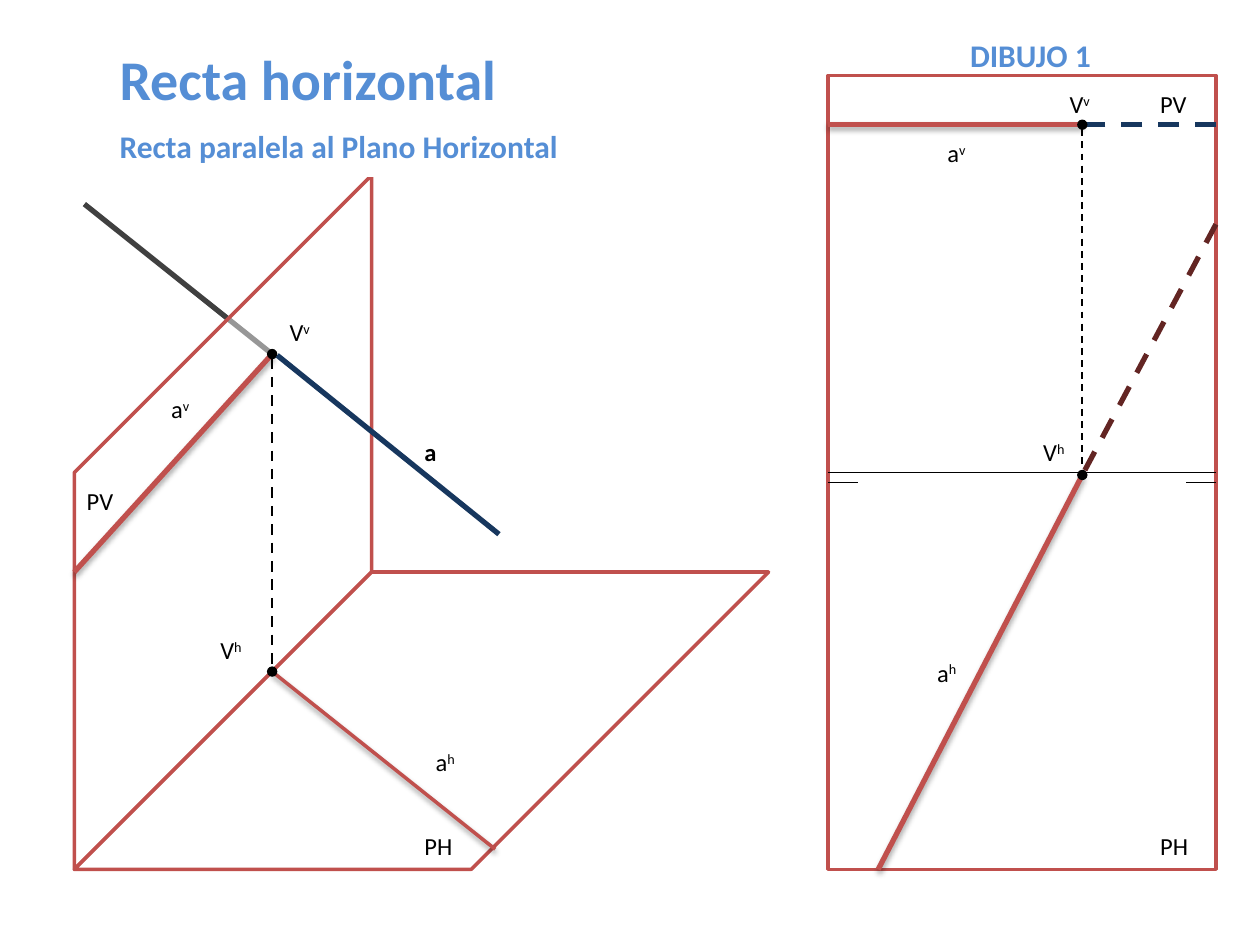
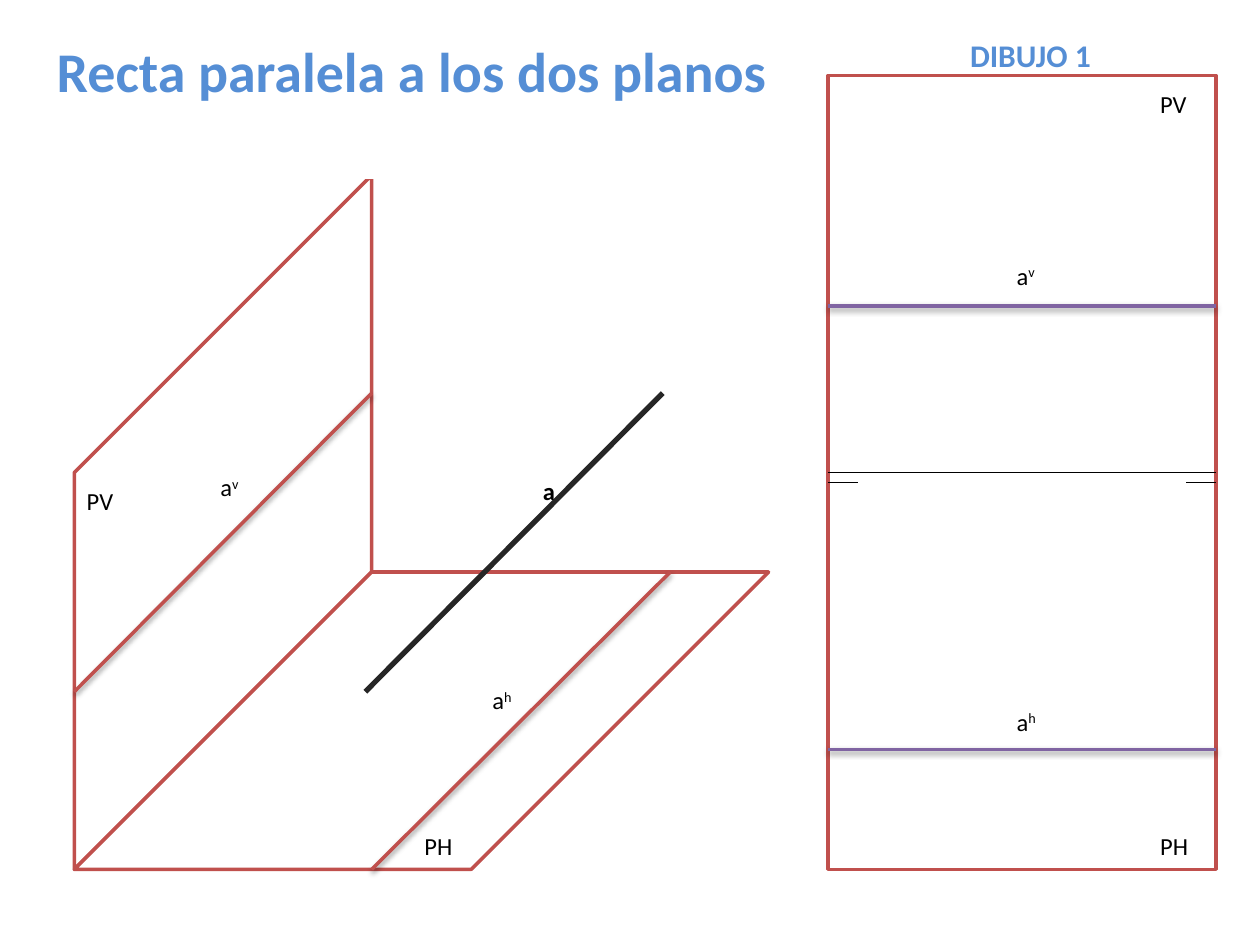
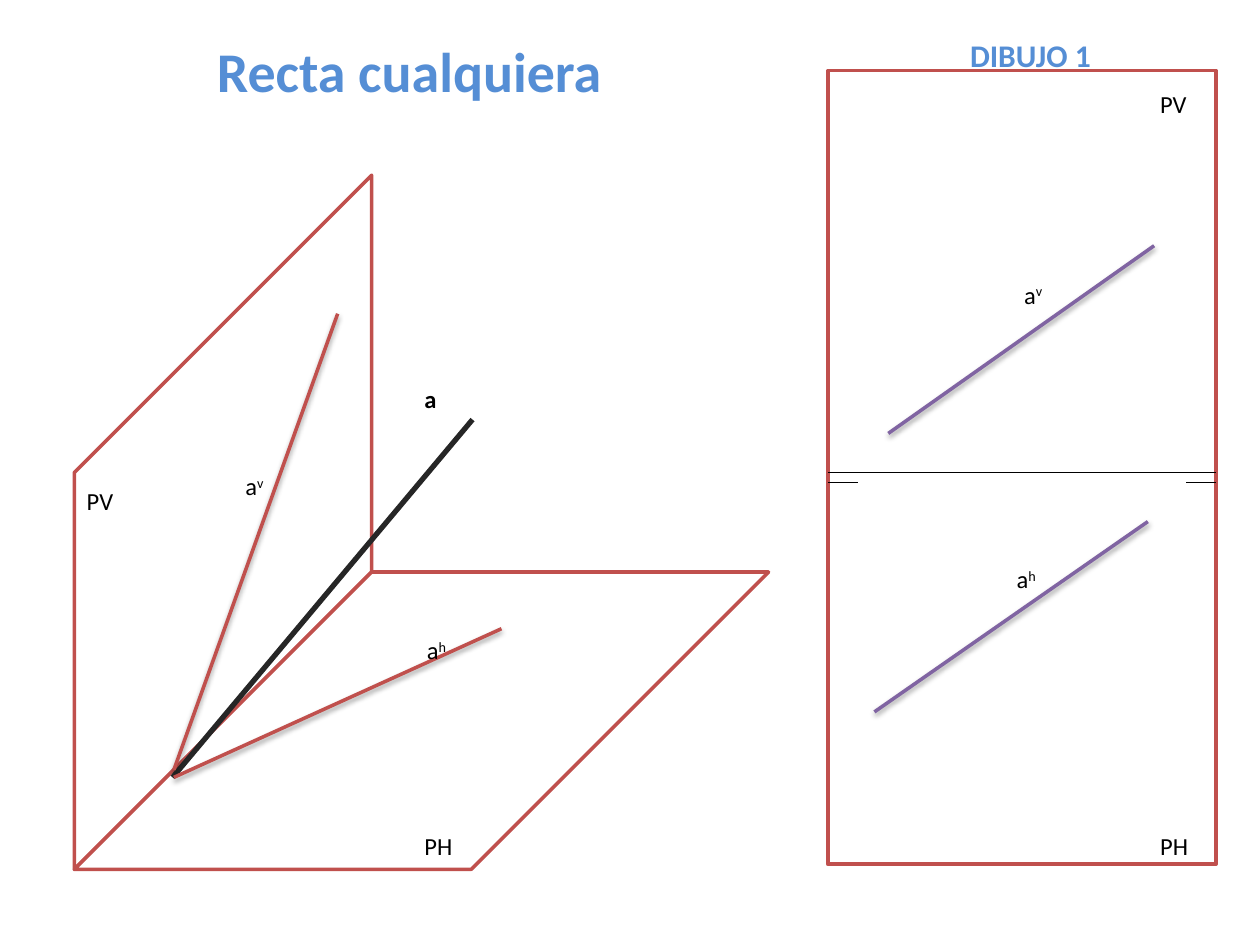
from dataclasses import dataclass

from lxml.etree import SubElement
from pptx import Presentation
from pptx.dml.color import RGBColor
from pptx.enum.dml import MSO_LINE
from pptx.enum.shapes import MSO_CONNECTOR, MSO_SHAPE
from pptx.enum.text import MSO_ANCHOR, MSO_AUTO_SIZE, PP_ALIGN
from pptx.oxml.ns import qn
from pptx.util import Inches, Pt

Point = tuple[float, float]


@dataclass(frozen=True)
class Theme:
    font: str = "Calibri"
    title: str = "558ED5"
    plane: str = "C0504D"
    trace: str = "8064A2"
    hidden_trace: str = "632523"
    navy: str = "17375E"
    line: str = "262626"
    hidden_line: str = "404040"
    black: str = "000000"
    white: str = "FFFFFF"
    title_size: int = 32
    subtitle_size: int = 18
    label_size: int = 14
    thin: float = 0.75
    medium: float = 2
    thick: float = 3


@dataclass(frozen=True)
class Stroke:
    start: Point
    end: Point
    color: str
    width: float = 3
    dashed: bool = False
    dots: bool = False
    shadow: bool = False


@dataclass(frozen=True)
class Label:
    left: float
    top: float
    text: str
    sup: str = ""
    bold: bool = False
    size: int = 14
    color: str = "000000"
    width: float = 0.36
    height: float = 0.34


@dataclass(frozen=True)
class Title:
    box: tuple[float, float, float, float]
    lines: tuple[str, ...]
    align: PP_ALIGN = PP_ALIGN.CENTER
    outlined: bool = True


@dataclass(frozen=True)
class Drawing:
    title: Title
    strokes: list[Stroke]
    labels: list[Label]
    behind: tuple[Stroke, ...] = ()
    panel_top: float = 0.6
    opacity: tuple[int, int] = (100, 100)


T = Theme()

# Corners of the two planes in perspective and edges of the flat drawing
LEFT, BACK, FRONT, FAR = 0.59, 2.95, 3.74, 6.1
APEX, GROUND, HORIZON, BASE = 1.39, 3.75, 4.54, 6.9
PANEL_LEFT, PANEL_RIGHT, PANEL_HEIGHT = 6.57, 9.65, 6.3
TICK, TICK_Y = 0.24, 3.83

VERTICAL_PLANE = [(LEFT, BASE), (LEFT, GROUND), (BACK, APEX), (BACK, HORIZON)]
HORIZONTAL_PLANE = [(BACK, HORIZON), (FAR, HORIZON), (FRONT, BASE), (LEFT, BASE)]

GROUND_LINES = [
    Stroke((PANEL_LEFT, GROUND), (PANEL_RIGHT, GROUND), T.black, T.thin),
    Stroke((PANEL_LEFT, TICK_Y), (PANEL_LEFT + TICK, TICK_Y), T.black, T.thin),
    Stroke((PANEL_RIGHT, TICK_Y), (PANEL_RIGHT - TICK, TICK_Y), T.black, T.thin),
]
SHARED_LABELS = [
    Label(0.59, 3.81, "PV", width=0.44),
    Label(9.11, 6.55, "PH", width=0.44),
    Label(3.27, 6.55, "PH", width=0.44),
    Label(9.11, 0.66, "PV", width=0.44),
    Label(7.6, 0.24, "DIBUJO 1", bold=True, size=T.subtitle_size,
          color=T.title, width=1.32, height=0.4),
]


def rgb(value: str) -> RGBColor:
    return RGBColor.from_string(value)


def write(p, text: str, *, size: float, color: str = T.black,
          bold: bool = False, superscript: bool = False) -> None:
    r = p.add_run()
    r.text = text
    r.font.name, r.font.size, r.font.bold = T.font, Pt(size), bold
    r.font.color.rgb = rgb(color)
    if superscript:
        r.font._element.set("baseline", "30000")


def add_shadow(effects, thick: bool) -> None:
    shadow = SubElement(effects, qn("a:outerShdw"), blurRad="40000",
                        dist="23000" if thick else "20000", dir="5400000", rotWithShape="0")
    color = SubElement(shadow, qn("a:srgbClr"), val=T.black)
    SubElement(color, qn("a:alpha"), val="35000" if thick else "38000")


def add_stroke(s, stroke: Stroke) -> None:
    line = s.shapes.add_connector(MSO_CONNECTOR.STRAIGHT,
                                  *map(Inches, stroke.start + stroke.end))
    line.line.color.rgb = rgb(stroke.color)
    line.line.width = Pt(stroke.width)
    if stroke.dashed:
        line.line.dash_style = MSO_LINE.DASH
    properties = line._element.spPr
    if stroke.dots:
        for end in ("a:headEnd", "a:tailEnd"):
            SubElement(properties.find(qn("a:ln")), qn(end), type="oval")
    effects = SubElement(properties, qn("a:effectLst"))
    if stroke.shadow:
        add_shadow(effects, stroke.width >= T.thick)


def style_surface(sp, outline: str | None, opacity: int = 100) -> None:
    sp.shadow.inherit = False
    sp.fill.solid()
    sp.fill.fore_color.rgb = rgb(T.white)
    if opacity < 100:
        color = sp._element.spPr.find(f"{qn('a:solidFill')}/{qn('a:srgbClr')}")
        SubElement(color, qn("a:alpha"), val=str(opacity * 1000))
    if outline:
        sp.line.color.rgb = rgb(outline)
        sp.line.width = Pt(T.medium)
    else:
        sp.line.fill.background()


def add_plane(s, corners: list[Point], opacity: int) -> None:
    start, *rest = [(Inches(x), Inches(y)) for x, y in corners]
    builder = s.shapes.build_freeform(*start)
    builder.add_line_segments(rest, close=True)
    style_surface(builder.convert_to_shape(), T.plane, opacity)


def add_rectangle(s, box: tuple[float, ...], outline: str | None):
    sp = s.shapes.add_shape(MSO_SHAPE.RECTANGLE, *map(Inches, box))
    style_surface(sp, outline)
    return sp


def add_title(s, title: Title) -> None:
    tf = add_rectangle(s, title.box, T.white if title.outlined else None).text_frame
    tf.word_wrap = True
    tf.vertical_anchor = MSO_ANCHOR.TOP
    for i, text in enumerate(title.lines):
        p = tf.add_paragraph() if i else tf.paragraphs[0]
        p.alignment = title.align
        before = SubElement(p._p.get_or_add_pPr(), qn("a:spcBef"))
        SubElement(before, qn("a:spcPct"), val="50000")
        write(p, text, size=T.subtitle_size if i else T.title_size,
              color=T.title, bold=True)


def add_label(s, label: Label) -> None:
    box = (label.left, label.top, label.width, label.height)
    tf = s.shapes.add_textbox(*map(Inches, box)).text_frame
    tf.word_wrap = False
    tf.auto_size = MSO_AUTO_SIZE.SHAPE_TO_FIT_TEXT
    p = tf.paragraphs[0]
    write(p, label.text, size=label.size, color=label.color, bold=label.bold)
    if label.sup:
        write(p, label.sup, size=label.size, color=label.color, superscript=True)


def add_drawing(prs, drawing: Drawing) -> None:
    s = prs.slides.add_slide(prs.slide_layouts[6])
    for stroke in drawing.behind:
        add_stroke(s, stroke)
    for corners, opacity in zip((VERTICAL_PLANE, HORIZONTAL_PLANE), drawing.opacity):
        add_plane(s, corners, opacity)
    add_rectangle(s, (PANEL_LEFT, drawing.panel_top, PANEL_RIGHT - PANEL_LEFT,
                      PANEL_HEIGHT), T.plane)
    add_title(s, drawing.title)
    for stroke in GROUND_LINES + drawing.strokes:
        add_stroke(s, stroke)
    for label in SHARED_LABELS + drawing.labels:
        add_label(s, label)


def projection(start: Point, end: Point, color: str = T.plane,
               width: float = T.medium) -> Stroke:
    return Stroke(start, end, color, width, shadow=True)


def horizontal_line() -> Drawing:
    v_trace, h_foot = (2.16, 2.81), (2.16, 5.33)
    flat_v, flat_h = (8.59, 0.99), (8.59, 3.77)
    return Drawing(
        Title((0.85, 0.3, 4.25, 1.09),
              ("Recta horizontal", "Recta paralela al Plano Horizontal"), PP_ALIGN.LEFT),
        behind=(Stroke((0.67, 1.62), v_trace, T.hidden_line),),
        opacity=(46, 66),
        strokes=[
            projection(v_trace, (LEFT, HORIZON), width=T.thick),
            projection(h_foot, (3.93, 6.74)),
            Stroke(v_trace, h_foot, T.black, 1.5, dashed=True, dots=True),
            projection(flat_v, (PANEL_LEFT, 0.99), width=T.thick),
            projection(flat_h, (6.97, BASE), width=T.thick),
            Stroke((PANEL_RIGHT, 1.78), flat_h, T.hidden_trace, dashed=True),
            Stroke((PANEL_RIGHT, 0.99), flat_v, T.navy, dashed=True),
            Stroke(flat_v, flat_h, T.black, 1, dashed=True, dots=True),
            Stroke((2.2, 2.82), (3.96, 4.24), T.navy),
        ],
        labels=[
            Label(3.27, 3.42, "a", bold=True, width=0.29),
            Label(1.26, 3.08, "a", "v"),
            Label(3.36, 5.88, "a", "h"),
            Label(7.42, 1.05, "a", "v"),
            Label(7.34, 5.17, "a", "h"),
            Label(2.2, 2.47, "V", "v", width=0.4),
            Label(1.65, 4.99, "V", "h", width=0.41),
            Label(8.39, 0.66, "V", "v", width=0.4),
            Label(8.18, 3.42, "V", "h", width=0.41),
        ],
    )


def line_parallel_to_both() -> Drawing:
    return Drawing(
        Title((0.16, 0.24, 6.22, 1.18), ("Recta paralela a los dos planos",),
              outlined=False),
        strokes=[
            Stroke((5.26, 3.12), (2.9, 5.49), T.line),
            projection((BACK, 3.12), (LEFT, 5.49)),
            projection((5.32, HORIZON), (BACK, BASE)),
            *(projection((PANEL_RIGHT, y), (PANEL_LEFT, y), T.trace)
              for y in (2.43, 5.95)),
        ],
        labels=[
            Label(4.21, 3.73, "a", bold=True, width=0.29),
            Label(3.81, 5.39, "a", "h"),
            Label(1.65, 3.7, "a", "v"),
            Label(7.97, 5.56, "a", "h"),
            Label(7.97, 2.02, "a", "v"),
        ],
    )


def any_line() -> Drawing:
    return Drawing(
        Title((1.03, 0.24, 4.44, 0.64), ("Recta cualquiera",)),
        panel_top=0.56,
        strokes=[
            Stroke((3.75, 3.33), (1.37, 6.17), T.line),
            projection((2.68, 2.49), (1.38, 6.11)),
            projection((3.98, 4.99), (1.38, 6.17)),
            projection((9.16, 1.95), (7.05, 3.44), T.trace),
            projection((9.11, 4.14), (6.94, 5.65), T.trace),
        ],
        labels=[
            Label(3.27, 3, "a", bold=True, width=0.29),
            Label(3.29, 4.99, "a", "h"),
            Label(1.85, 3.69, "a", "v"),
            Label(7.97, 4.43, "a", "h"),
            Label(8.03, 2.17, "a", "v"),
        ],
    )


def main() -> None:
    prs = Presentation()
    prs.slide_width, prs.slide_height = Inches(10), Inches(7.5)
    for drawing in (horizontal_line(), line_parallel_to_both(), any_line()):
        add_drawing(prs, drawing)
    prs.save("out.pptx")


if __name__ == "__main__":
    main()
